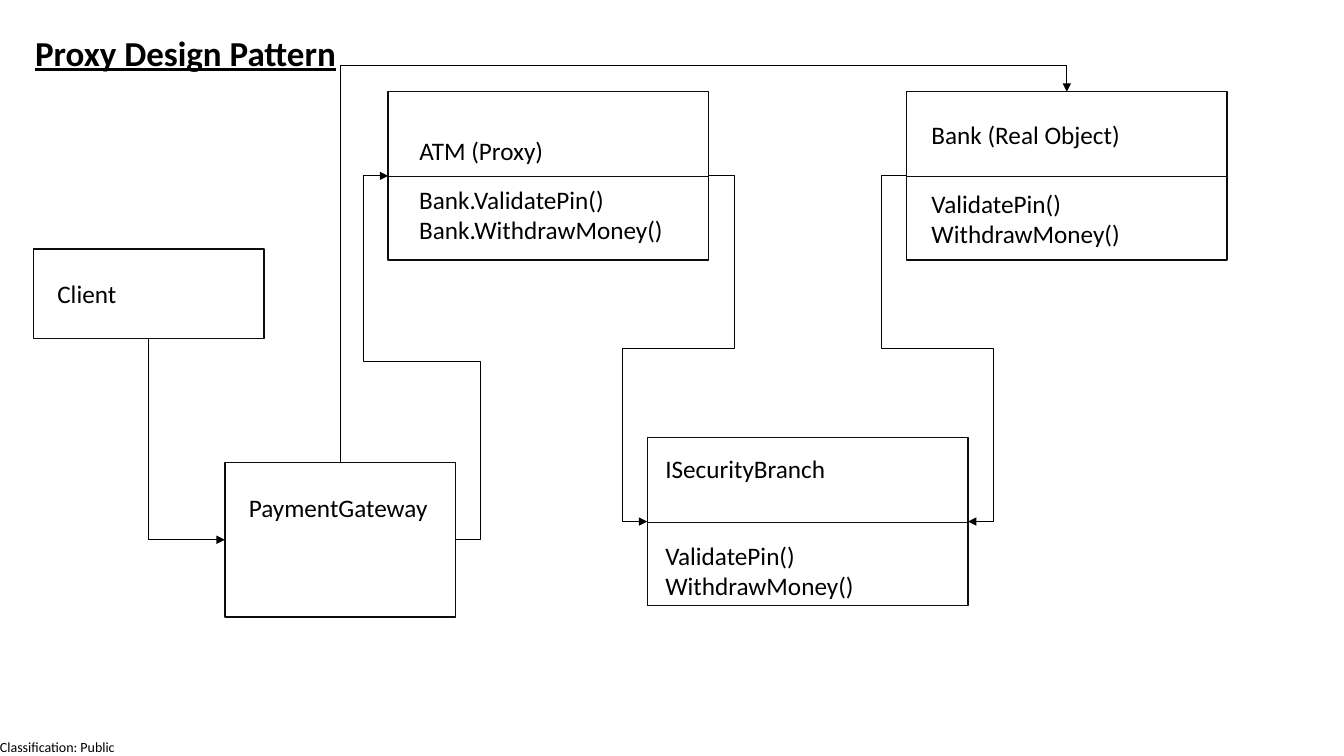
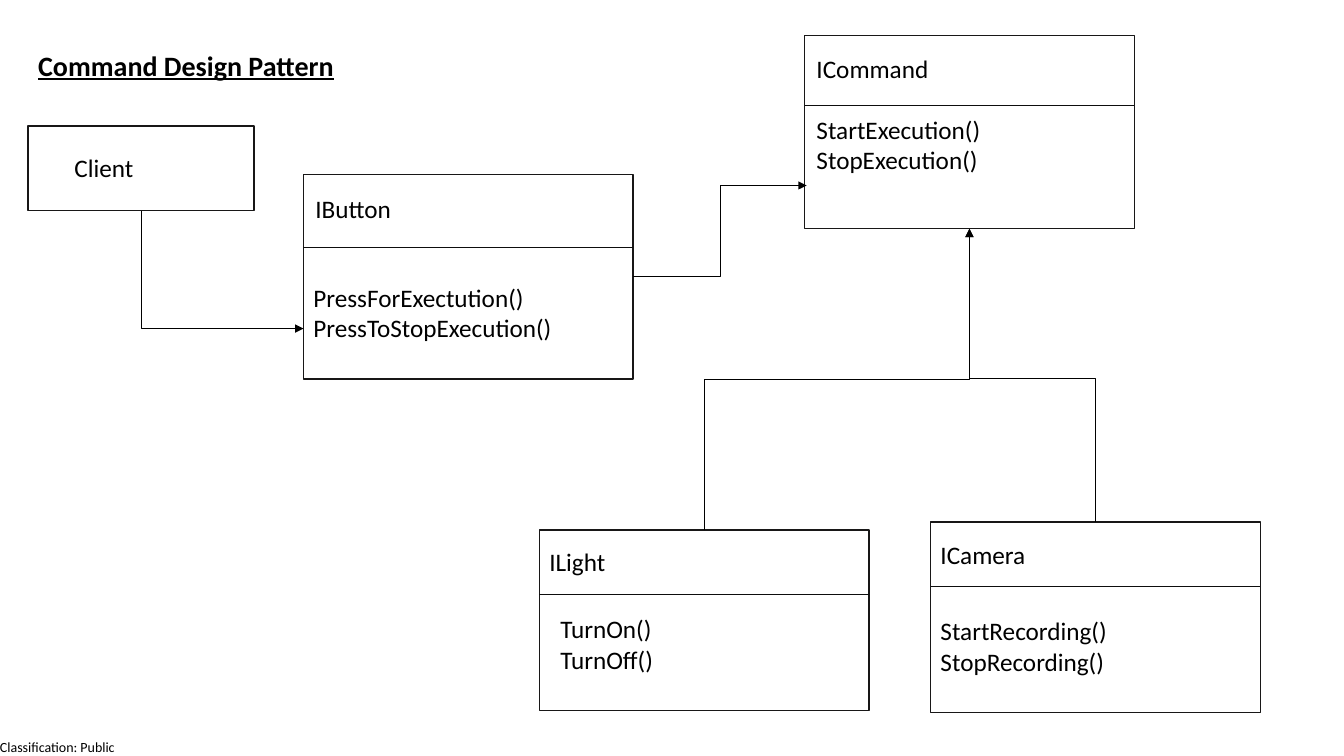
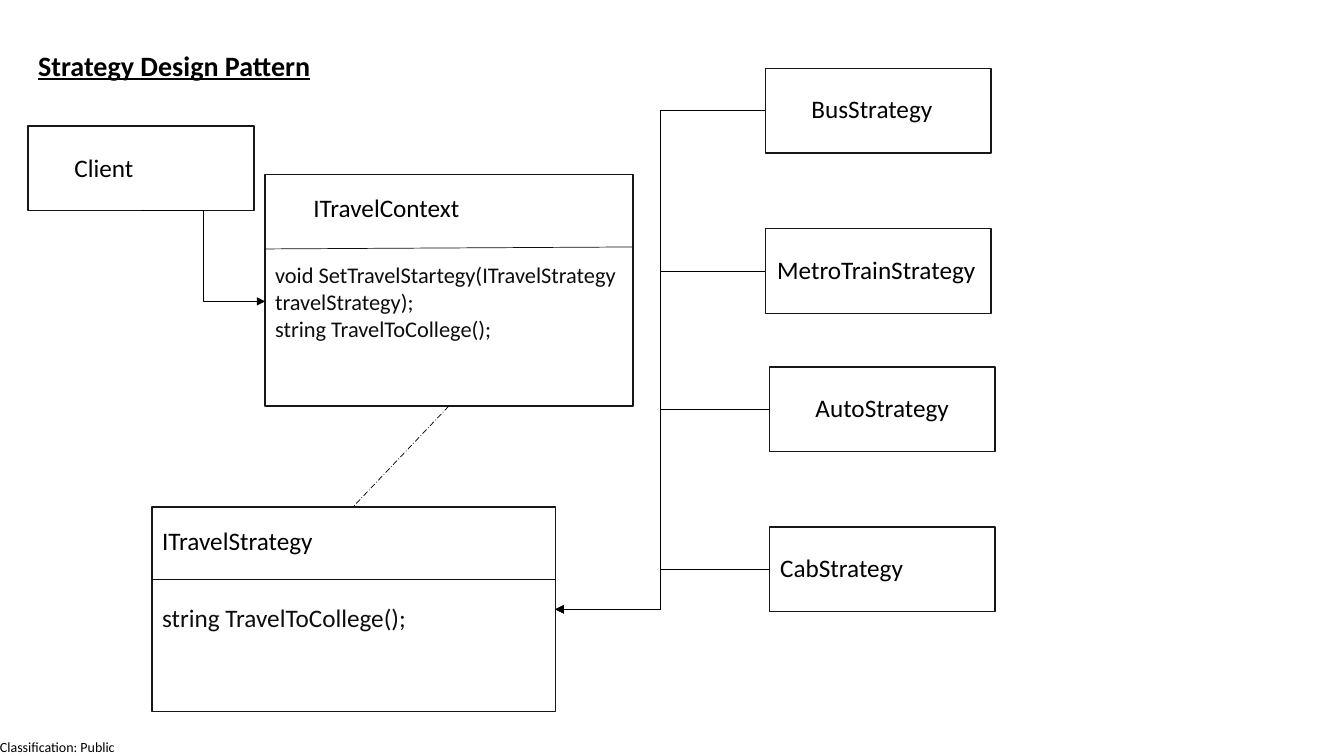
from pptx import Presentation
from pptx.dml.color import RGBColor
from pptx.enum.dml import MSO_LINE
from pptx.enum.shapes import MSO_CONNECTOR, MSO_SHAPE
from pptx.enum.text import MSO_AUTO_SIZE
from pptx.oxml.ns import qn
from pptx.util import Inches, Pt
from lxml import etree

BLACK = RGBColor(0x00, 0x00, 0x00)
INK = RGBColor(0x0D, 0x0D, 0x0D)
EDGE = RGBColor(0x18, 0x17, 0x17)
FONT = "Calibri"
RECT = MSO_SHAPE.RECTANGLE
STRAIGHT, ELBOW = MSO_CONNECTOR.STRAIGHT, MSO_CONNECTOR.ELBOW
GROW = MSO_AUTO_SIZE.SHAPE_TO_FIT_TEXT
DASH = MSO_LINE.LONG_DASH_DOT
TOP, LEFT, BASE, RIGHT = range(4)  # connection sites of a rectangle
SMALL = (2.24, 0.84)


def text(slide, x, y, w, lines, size=18, color=BLACK, rows=0, title=False):
    """Add a text box with one paragraph per line; rows sets its height."""
    high = 0.1 + (rows or len(lines)) * size * 1.22 / 72
    area = slide.shapes.add_textbox(Inches(x), Inches(y), Inches(w), Inches(high))
    frame = area.text_frame
    frame.word_wrap = True
    frame.auto_size = GROW
    for i, line in enumerate(lines):
        para = frame.add_paragraph() if i else frame.paragraphs[0]
        run = para.add_run()
        run.text = line
        font = run.font
        font.name, font.size, font.color.rgb = FONT, Pt(size), color
        if title:
            font.bold = font.underline = True
    return area


def new_slide(deck, title, x, y, w, size=20):
    """Add a blank slide with its title and the classification footer."""
    slide = deck.slides.add_slide(deck.slide_layouts[6])
    text(slide, x, y, w, [title], size, title=True)
    foot = text(slide, 0, 7.33, 1.17, ["Classification: Public"], 10)
    foot.height = Inches(0.17)
    frame = foot.text_frame
    frame.word_wrap = False
    frame.margin_left = frame.margin_right = 0
    frame.margin_top = frame.margin_bottom = 0
    return slide


def pen(link, color):
    """Give a connector a thin line without a shadow."""
    link.line.color.rgb = color
    link.line.width = Pt(0.5)
    etree.SubElement(link._element.spPr, qn("a:effectLst"))


def rule(slide, x1, y1, x2, y2, color=INK):
    """Draw a straight line."""
    ends = (Inches(v) for v in (x1, y1, x2, y2))
    link = slide.shapes.add_connector(STRAIGHT, *ends)
    pen(link, color)
    return link


def box(slide, x, y, w, h, color=EDGE, split=None):
    """Draw an outlined box, with a divider split inches below its top."""
    shape = slide.shapes.add_shape(RECT, Inches(x), Inches(y), Inches(w), Inches(h))
    shape.shadow.inherit = False
    shape.fill.background()
    shape.line.color.rgb = color
    shape.line.width = Pt(1)
    if split:
        rule(slide, x, y + split, x + w, y + split)
    return shape


def spot(end):
    """Return the point of an end: a (box, site) or an (x, y) pair."""
    first, site = end
    if isinstance(first, (int, float)):
        return Inches(first), Inches(site)
    across = {LEFT: 0, RIGHT: 2}.get(site, 1)
    down = {TOP: 0, BASE: 2}.get(site, 1)
    return (first.left + first.width * across // 2,
            first.top + first.height * down // 2)


def join(slide, start, end, bends=(), kind=3, upright=False):
    """Draw a bent arrow; upright ones leave their start vertically."""
    (x1, y1), (x2, y2) = spot(start), spot(end)
    link = slide.shapes.add_connector(ELBOW, x1, y1, x2, y2)
    if not isinstance(start[0], (int, float)):
        link.begin_connect(*start)
    if not isinstance(end[0], (int, float)):
        link.end_connect(*end)
    props = link._element.spPr
    if upright:
        wide, high = abs(y2 - y1), abs(x2 - x1)
        link.left, link.top = (x1 + x2 - wide) // 2, (y1 + y2 - high) // 2
        link.width, link.height = wide, high
        frame = props.find(qn("a:xfrm"))
        frame.set("rot", str(270 * 60000))
        frame.set("flipH", str(int(y2 > y1)))
        frame.set("flipV", str(int(x2 < x1)))
    shape = props.find(qn("a:prstGeom"))
    shape.set("prst", f"bentConnector{kind}")
    guides = shape.find(qn("a:avLst"))
    for i, bend in enumerate(bends, 1):
        etree.SubElement(guides, qn("a:gd"), name=f"adj{i}",
                         fmla=f"val {round(bend * 100000)}")
    pen(link, BLACK)
    etree.SubElement(link.line._get_or_add_ln(), qn("a:tailEnd"), type="triangle")


def proxy(deck):
    """Build the proxy pattern slide."""
    slide = new_slide(deck, "Proxy Design Pattern", 0.25, 0.26, 4.6, 25)
    client = box(slide, 0.33, 2.47, 2.29, 0.89, INK)
    gate = box(slide, 2.23, 4.59, 2.29, 1.53, INK)
    atm, bank, branch = (box(slide, x, y, 3.18, 1.67, INK, 0.84)
                         for x, y in ((3.85, 0.91), (8.99, 0.91), (6.42, 4.34)))
    pin = ["ValidatePin()", "WithdrawMoney()"]
    for x, y, lines in (
            (0.47, 2.71, ["Client"]), (2.37, 4.83, ["PaymentGateway"]),
            (4.06, 1.29, ["ATM (Proxy)"]), (9.14, 1.13, ["Bank (Real Object)"]),
            (6.5, 4.45, ["ISecurityBranch"]), (9.14, 1.82, pin), (6.5, 5.31, pin)):
        text(slide, x, y, 2.48, lines)
    text(slide, 4.06, 1.78, 2.76, ["Bank." + line for line in pin])
    join(slide, (bank, LEFT), (branch, RIGHT), (-0.41, 0.5, 1.41), 5)
    join(slide, (atm, RIGHT), (branch, LEFT), (-0.41, 0.5, 1.41), 5)
    join(slide, (client, BASE), (gate, LEFT), kind=2, upright=True)
    join(slide, (gate, RIGHT), (atm, LEFT), (-0.37, 0.49, 1.37), 5)
    join(slide, (gate, TOP), (bank, TOP), (1.07,), upright=True)


def command(deck):
    """Build the command pattern slide."""
    slide = new_slide(deck, "Command Design Pattern", 0.28, 0.43, 6.71)
    client = box(slide, 0.28, 1.25, *SMALL)
    button, order, light, camera = (
        box(slide, x, y, 3.27, h, split=split) for x, y, h, split in (
            (3.01, 1.73, 2.03, 0.72), (7.98, 0.35, 1.92, 0.7),
            (5.35, 5.26, 1.79, 0.64), (9.23, 5.18, 1.89, 0.64)))
    text(slide, 0.64, 1.46, 1.5, ["Client"])
    for x, y, name in ((3.03, 1.87, "IButton"), (8, 0.48, "ICommand"),
                       (5.35, 5.37, "ILight"), (9.23, 5.3, "ICamera")):
        text(slide, x, y, 2.86, [name])
    for x, y, rows, lines in (
            (3.01, 2.75, 3, ["PressForExectution()", "PressToStopExecution()"]),
            (8, 1.08, 2, ["StartExecution()", "StopExecution()"]),
            (5.46, 6.04, 3, ["TurnOn()", "TurnOff()"]),
            (9.23, 6.06, 3, ["StartRecording()", "StopRecording()"])):
        text(slide, x, y, 2.86, lines, rows=rows)
    join(slide, (client, BASE), (3.01, 3.26), kind=2, upright=True)
    join(slide, (button, RIGHT), (8, 1.84))
    join(slide, (light, TOP), (order, BASE), upright=True)
    join(slide, (camera, TOP), (order, BASE), (0.49,), upright=True)


def strategy(deck):
    """Build the strategy pattern slide."""
    slide = new_slide(deck, "Strategy Design Pattern", 0.28, 0.43, 6.71)
    box(slide, 0.28, 1.25, *SMALL)
    text(slide, 0.64, 1.46, 1.5, ["Client"])
    box(slide, 2.63, 1.73, 3.65, 2.3)
    rule(slide, 2.63, 2.47, 6.28, 2.45)
    text(slide, 3.01, 1.86, 2.86, ["ITravelContext"])
    travel = "string TravelToCollege();"
    text(slide, 2.63, 2.54, 3.65,
         ["void SetTravelStartegy(ITravelStrategy travelStrategy);", travel],
         16, INK, rows=3)
    plan = box(slide, 1.51, 5.03, 4, 2.03, split=0.72)
    text(slide, 1.51, 5.16, 2.86, ["ITravelStrategy"])
    text(slide, 1.51, 5.93, 3.51, [travel], color=INK)
    join(slide, (1.4, 2.09), (2.63, 2.99))
    rule(slide, 4.45, 4.03, 3.5, 5.03, BLACK).line.dash_style = DASH
    for x, y, left, wide, name, bend in (
            (7.59, 0.68, 7.95, 1.5, "BusStrategy", 0.5),
            (7.59, 2.27, 7.61, 2.24, "MetroTrainStrategy", 0.5),
            (7.63, 3.64, 7.99, 1.76, "AutoStrategy", 0.51),
            (7.63, 5.23, 7.64, 2.24, "CabStrategy", 0.51)):
        mode = box(slide, x, y, *SMALL)
        text(slide, left, y + 0.2, wide, [name])
        join(slide, (mode, LEFT), (plan, RIGHT), (bend,))


def main():
    """Build and save the deck."""
    deck = Presentation()
    deck.slide_width, deck.slide_height = Inches(13.33), Inches(7.5)
    proxy(deck)
    command(deck)
    strategy(deck)
    deck.save("out.pptx")


main()
